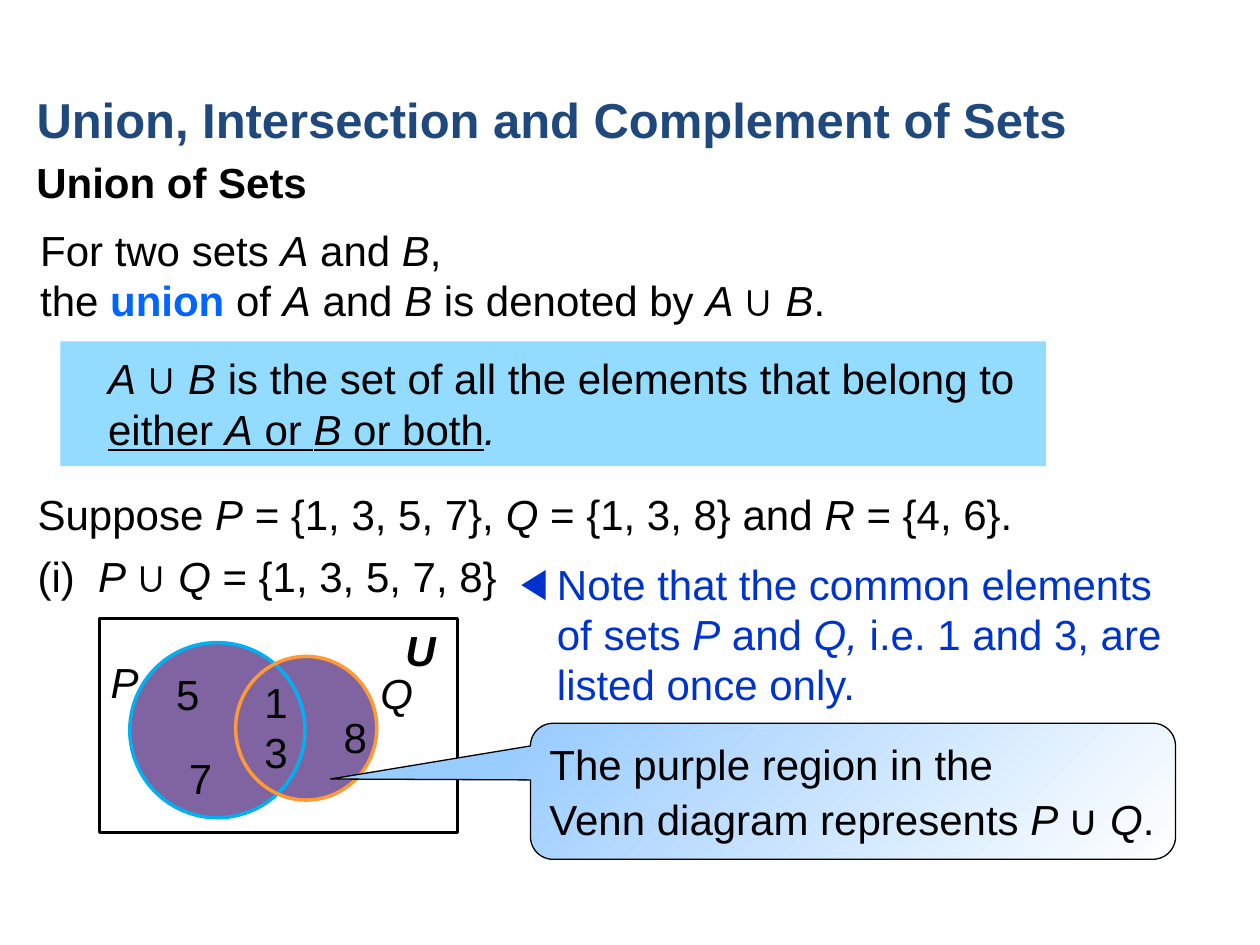
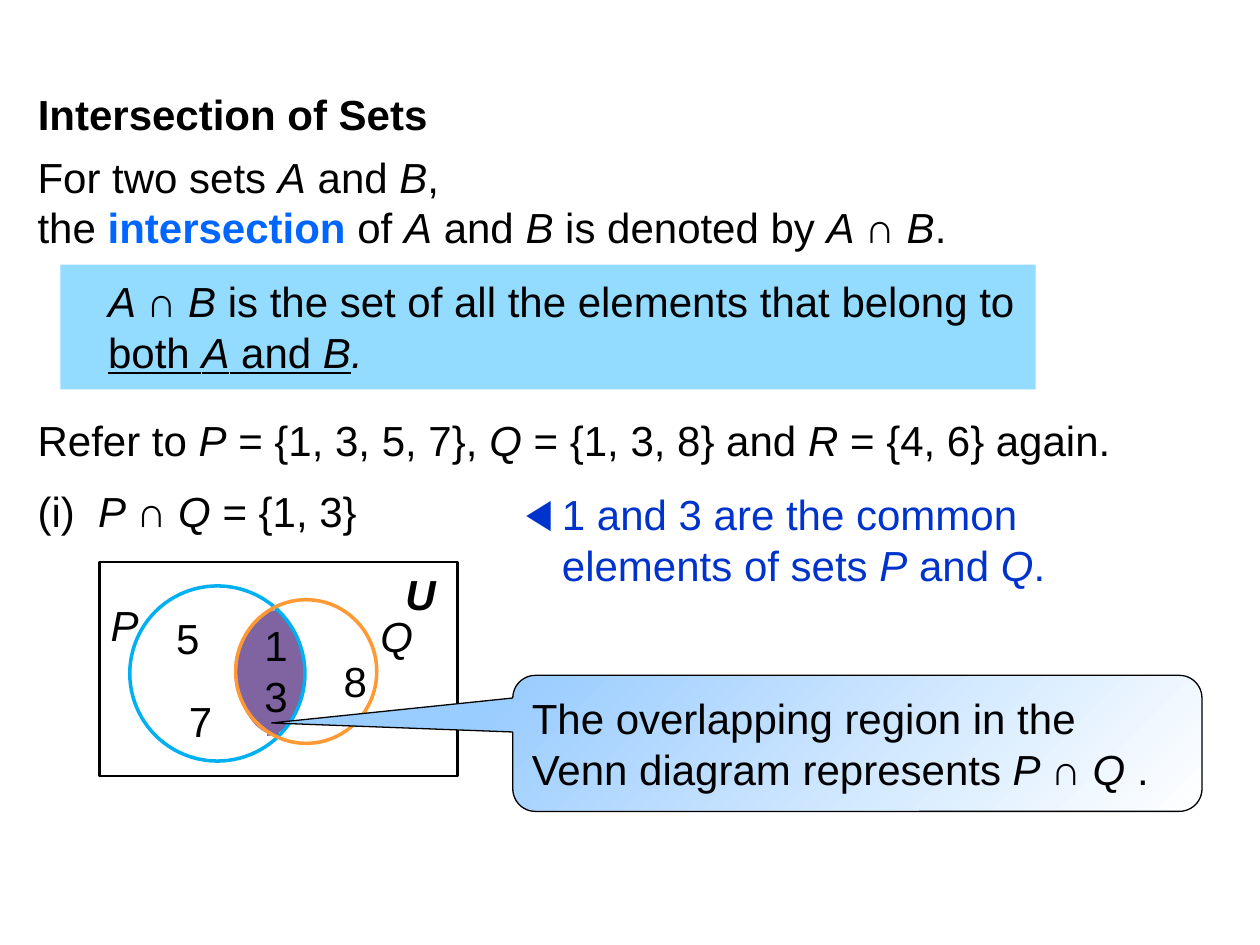
import pptx
import pptx.util
import pptx.dml.color
import pptx.enum.shapes
import pptx.enum.text
import pptx.oxml
import pptx.oxml.ns

SHAPES = pptx.enum.shapes.MSO_SHAPE
BLACK, NAVY, TERM_BLUE, NOTE_BLUE = "000000", "1F497D", "0066FF", "0033CC"
PURPLE, P_BLUE, Q_ORANGE, DEFINITION_BLUE = "8064A2", "00B0F0", "FF9933", "66CCFF"
CALLOUT_GRADIENT = ["99CCFF", "FFFFFF"]

presentation = pptx.Presentation()
presentation.slide_width = pptx.util.Inches(10)
presentation.slide_height = pptx.util.Inches(7.5)
# Grid of 100 columns by 75 rows; areas are column, row, columns wide, rows high
unit = presentation.slide_width // 100


def color(hex_value):
    return pptx.dml.color.RGBColor.from_string(hex_value)


def write(shape, area, lines, hex_value=BLACK, size=24, bold=False, space=0):
    """Place a shape and fill it; *italic*, _underlined_ and |key term| are marked."""
    shape.left, shape.top, shape.width, shape.height = [int(unit * n) for n in area]
    frame = shape.text_frame
    frame.word_wrap = True
    frame.vertical_anchor = pptx.enum.text.MSO_ANCHOR.TOP
    frame.auto_size = pptx.enum.text.MSO_AUTO_SIZE.SHAPE_TO_FIT_TEXT
    for number, line in enumerate(lines):
        paragraph = frame.add_paragraph() if number else frame.paragraphs[0]
        paragraph.alignment = pptx.enum.text.PP_ALIGN.LEFT
        paragraph.space_before = pptx.util.Pt(space)
        paragraph.font.name = "Arial"
        paragraph.font.size = pptx.util.Pt(size)
        paragraph.font.bold = bold
        paragraph.font.color.rgb = color(hex_value)
        for underlined, section in enumerate(line.split("_")):
            for is_term, part in enumerate(section.split("|")):
                for italic, piece in enumerate(part.split("*")):
                    if not piece:
                        continue
                    run = paragraph.add_run()
                    run.text = piece
                    if underlined % 2:
                        run.font.underline = True
                    if italic % 2:
                        run.font.italic = True
                    if is_term % 2:
                        run.font.bold = True
                        run.font.color.rgb = color(TERM_BLUE)


# What differs between the two slides
topics = [
    {
        "title": ([1.9, 6.6, 94.5, 5.7], ["Union, Intersection and Complement of Sets"], NAVY, 28, True),
        "texts": [
            ([1.9, 11.9, 94.5, 5.1], ["Union of Sets"], BLACK, 24, True),
            ([2.2, 17.3, 95.1, 9.1], ["For two sets *A* and *B*,",
                                      "the |union| of *A* and *B* is denoted by *A *∪* B*."]),
            ([2, 38.3, 95.1, 5.1], ["Suppose *P* = {1, 3, 5, 7}, *Q* = {1, 3, 8} and *R* = {4, 6}."]),
            ([2, 43.2, 38.9, 5.1], ["(i)  *P *∪* Q* = {1, 3, 5, 7, 8}"]),
        ],
        "band": [4.8, 27.1, 78.2, 9.9],
        "definition": ["*A *∪* B *is the set of all the elements that belong to",
                       "_either *A* or *B *or both_*.*"],
        "note": ([40.3, 43.8, 55, 13.1], ["Note that the common elements of sets *P* and *Q,* "
                                          "i.e. 1 and 3, are listed once only."]),
        "venn_row": 49.1,
        "regions": [(SHAPES.OVAL, [10.8, 3, 11.2, 11.4], 0),
                    (SHAPES.OVAL, [2.4, 1.9, 13.9, 13.9], 0)],
        "callout": ([42.1, 57.4, 51.2, 10.8], ["The purple region in the",
                                               "Venn diagram represents *P* ∪* Q*."]),
        "pointer": (-0.81, -0.09),
    },
    {
        "title": ([2, 6.5, 94.5, 5.1], ["Intersection of Sets"], BLACK, 24, True),
        "texts": [
            ([2, 11.5, 95.1, 9.1], ["For two sets *A* and *B*,",
                                    "the |intersection| of *A* and *B* is denoted by *A *∩* B*."]),
            ([2, 32.4, 95.1, 5.1], ["Refer to *P* = {1, 3, 5, 7}, *Q* = {1, 3, 8} and *R* = {4, 6} again."]),
            ([2, 38, 27.7, 5.1], ["(i)  *P *∩* Q* = {1, 3}"]),
        ],
        "band": [4.8, 21, 77.4, 9.9],
        "definition": ["*A *∩* B *is the set of all the elements that belong to",
                       "_both *A* and *B*_*.*"],
        "note": ([40.7, 38.3, 55, 9.1], ["1 and 3 are the common elements of sets *P* and *Q*."]),
        "venn_row": 44.6,
        "regions": [(SHAPES.MOON, [13.3, 3.8, 2.9, 10], 180),
                    (SHAPES.MOON, [10.9, 3.8, 3.4, 10], 0)],
        "callout": ([40.7, 53.6, 54.7, 10.8], ["The overlapping region in the Venn diagram "
                                               "represents *P *∩* Q* ."]),
        "pointer": (-0.85, -0.15),
    },
]

# Venn diagram parts, measured from the corner of its frame
venn_column = 7.9
venn_outlines = [
    (SHAPES.RECTANGLE, [0, 0, 28.4, 17], BLACK, 1.5),
    (SHAPES.OVAL, [2.4, 1.9, 13.9, 13.9], P_BLUE, 2),
    (SHAPES.OVAL, [10.8, 3, 11.2, 11.4], Q_ORANGE, 2),
]
venn_labels = [("*U*", 23.3, 0), ("*P*", -0.1, 2.5), ("*Q*", 21.3, 3.4), ("1", 12.1, 4.1),
               ("3", 12.1, 8.1), ("5", 5.1, 3.5), ("7", 6.1, 10.1), ("8", 18.4, 6.9)]

for topic in topics:
    slide = presentation.slides.add_slide(presentation.slide_layouts[1])
    shapes = slide.shapes

    # Title and headline texts
    write(shapes.title, *topic["title"])
    for text in topic["texts"]:
        write(shapes.add_textbox(0, 0, 0, 0), *text)

    # Definition on a translucent band
    left, top, width, height = topic["band"]
    band = shapes.add_shape(SHAPES.RECTANGLE, *[int(unit * n) for n in topic["band"]])
    band.shadow.inherit = False
    band.line.fill.background()
    band.fill.solid()
    band.fill.fore_color.rgb = color(DEFINITION_BLUE)
    band_color = band.fill._xPr.find(".//" + pptx.oxml.ns.qn("a:srgbClr"))
    band_color.append(pptx.oxml.parse_xml(
        f'<a:alpha {pptx.oxml.ns.nsdecls("a")} val="70000"/>'))
    write(shapes.add_textbox(0, 0, 0, 0), [left + 2.8, top + 0.4, 77.1, 9.1], topic["definition"])

    # Note with an arrowhead bullet
    note = slide.placeholders[1]
    write(note, *topic["note"], hex_value=NOTE_BLUE)
    properties = note.text_frame.paragraphs[0]._p.get_or_add_pPr()
    properties.set("marL", str(int(unit * 2.9)))
    properties.set("indent", str(int(unit * -2.9)))
    bullet = pptx.oxml.parse_xml(f'<a:buChar {pptx.oxml.ns.nsdecls("a")} char="◀"/>')
    properties.find(pptx.oxml.ns.qn("a:defRPr")).addprevious(bullet)

    # Venn diagram: shaded regions, outlines, labels
    venn_row = topic["venn_row"]
    for preset, (x, y, width, height), rotation in topic["regions"]:
        area = [venn_column + x, venn_row + y, width, height]
        region = shapes.add_shape(preset, *[int(unit * n) for n in area])
        region.shadow.inherit = False
        region.rotation = rotation
        region.fill.solid()
        region.fill.fore_color.rgb = color(PURPLE)
        region.line.fill.background()
        if preset == SHAPES.MOON:
            region.adjustments[0] = 0.875
    for preset, (x, y, width, height), line_color, line_width in venn_outlines:
        area = [venn_column + x, venn_row + y, width, height]
        outline = shapes.add_shape(preset, *[int(unit * n) for n in area])
        outline.shadow.inherit = False
        outline.fill.background()
        outline.line.color.rgb = color(line_color)
        outline.line.width = pptx.util.Pt(line_width)
    for label, x, y in venn_labels:
        write(shapes.add_textbox(0, 0, 0, 0), [venn_column + x, venn_row + y, 3.4, 4],
              [label], bold=label == "*U*")

    # Callout pointing into the shaded region
    callout = shapes.add_shape(SHAPES.ROUNDED_RECTANGULAR_CALLOUT, 0, 0, 0, 0)
    write(callout, *topic["callout"], space=3)
    callout.text_frame.auto_size = pptx.enum.text.MSO_AUTO_SIZE.NONE
    callout.text_frame.vertical_anchor = pptx.enum.text.MSO_ANCHOR.MIDDLE
    callout.shadow.inherit = False
    callout.adjustments[0], callout.adjustments[1] = topic["pointer"]
    callout.fill.gradient()
    callout.fill.gradient_angle = 315
    for stop, stop_color in zip(callout.fill.gradient_stops, CALLOUT_GRADIENT):
        stop.color.rgb = color(stop_color)
    callout.line.color.rgb = color(BLACK)
    callout.line.width = pptx.util.Pt(0.75)
    for run in callout.text_frame.paragraphs[-1].runs:
        if "∪" in run.text:
            run.font.name = "Calibri"

presentation.save("out.pptx")
